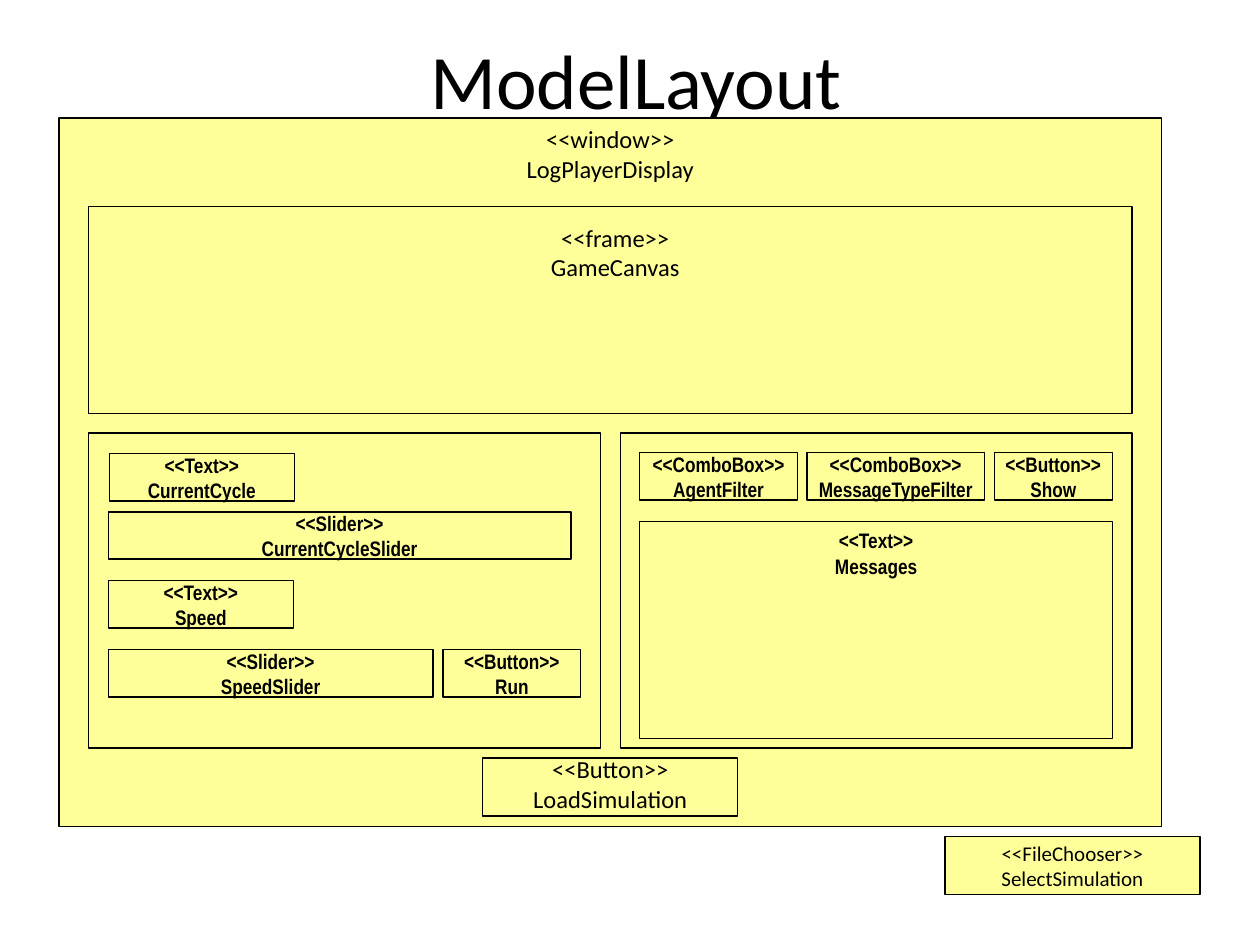
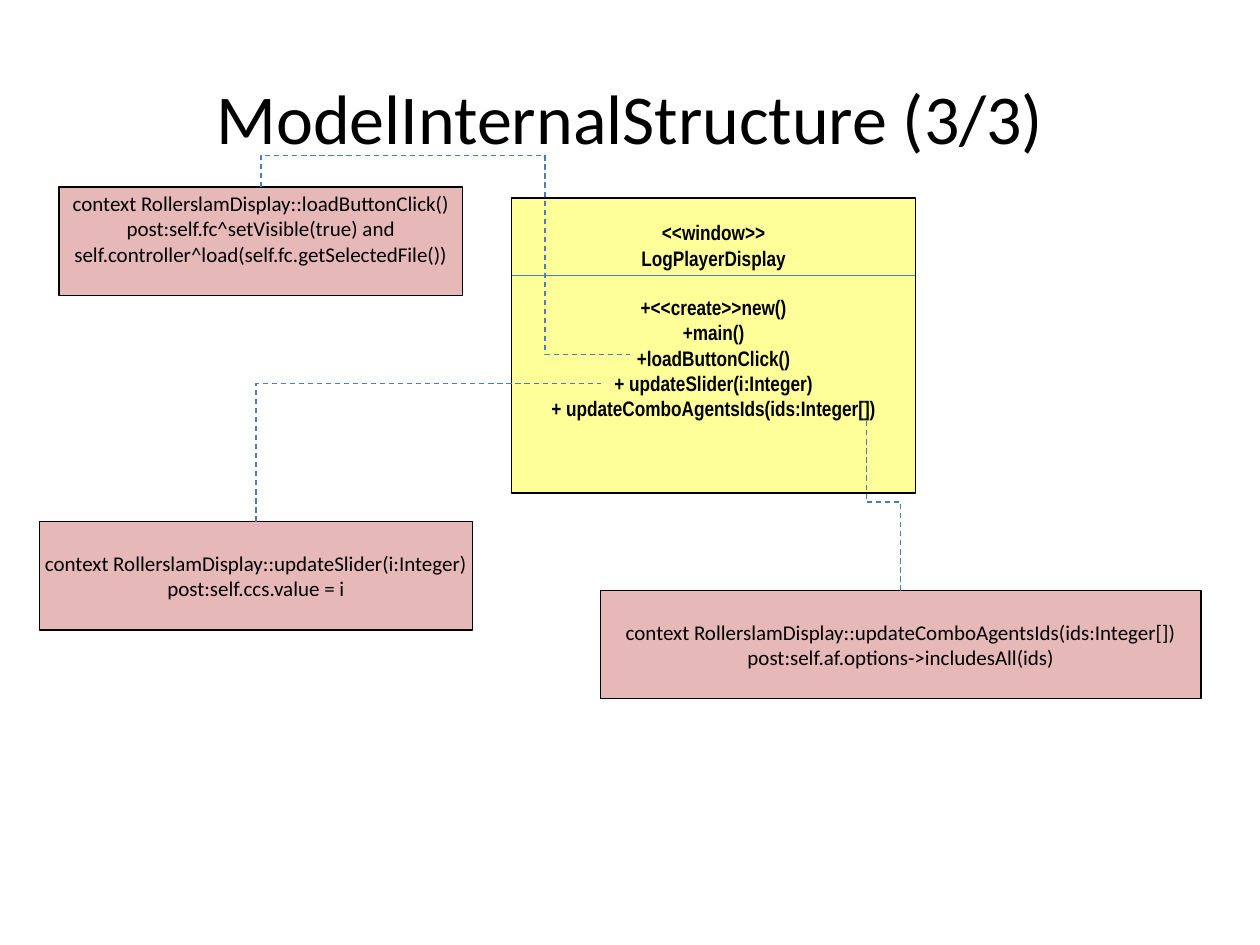
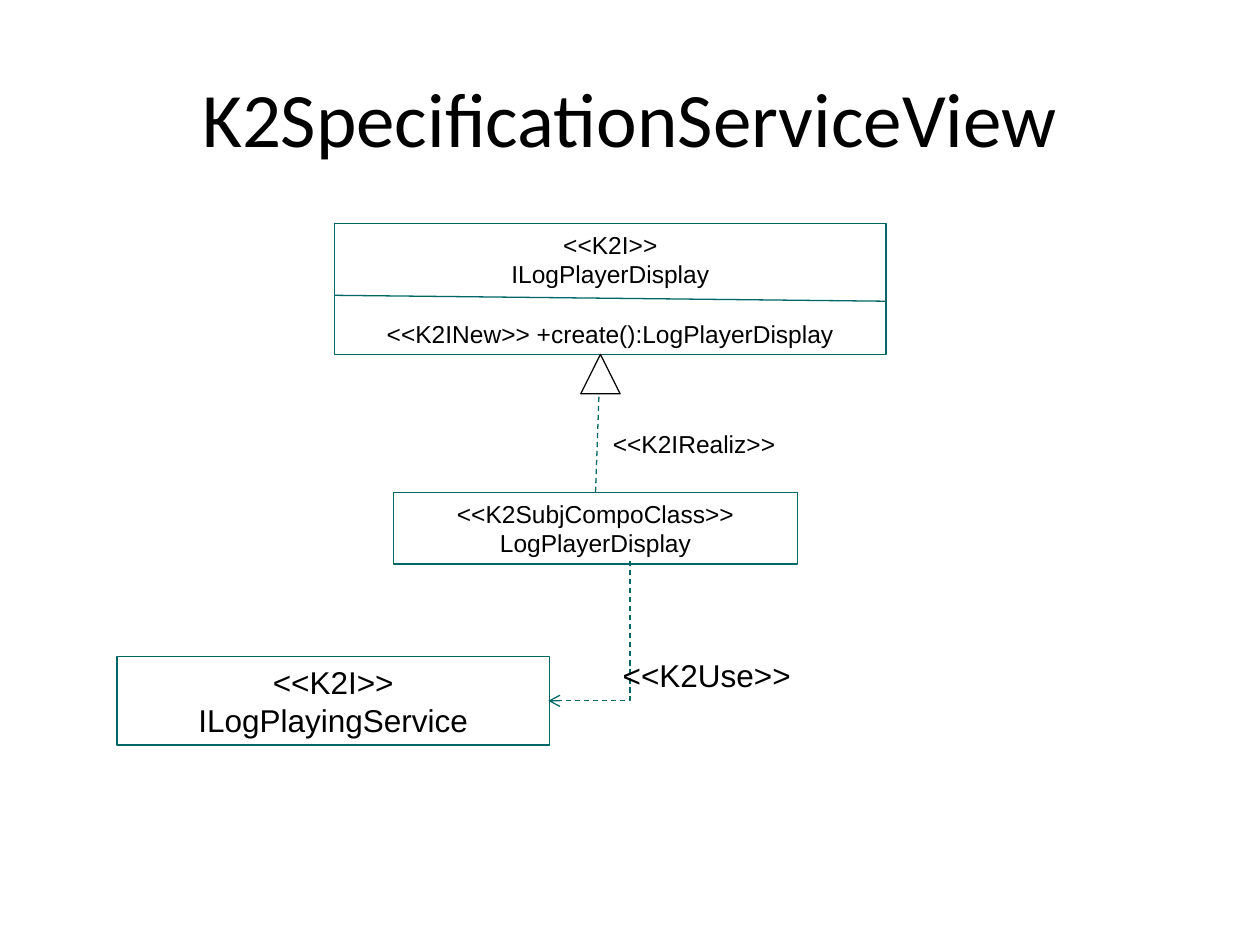
import pptx
import pptx.dml.color
import pptx.enum.dml
import pptx.enum.shapes
import pptx.enum.text
import pptx.oxml
import pptx.oxml.ns
import pptx.util

RECTANGLE = pptx.enum.shapes.MSO_SHAPE.RECTANGLE
TRIANGLE = pptx.enum.shapes.MSO_SHAPE.ISOSCELES_TRIANGLE
STRAIGHT = pptx.enum.shapes.MSO_CONNECTOR.STRAIGHT
ELBOW = pptx.enum.shapes.MSO_CONNECTOR.ELBOW
TOP, MIDDLE = pptx.enum.text.MSO_ANCHOR.TOP, pptx.enum.text.MSO_ANCHOR.MIDDLE
LEFT, CENTER = pptx.enum.text.PP_ALIGN.LEFT, pptx.enum.text.PP_ALIGN.CENTER

# Shared look: every slide is a grid of 128 columns and 96 rows
SLIDE_WIDTH, SLIDE_HEIGHT = 10, 7.5
CELL = SLIDE_WIDTH / 128
BLACK, WHITE, YELLOW, PINK = "000000", "FFFFFF", "FFFF99", "E6B9B8"
BLUE, TEAL = "4A7EBB", "006666"
LINE_WIDTH = 0.75

PANEL = dict(fill=YELLOW, line=BLACK)
WIDGET = dict(PANEL, font="Arial Narrow", size=12, bold=True)
NOTE = dict(fill=PINK, line=BLACK, font="Calibri", size=12)
CAPTION = dict(font="Calibri", size=14, anchor=TOP)
INTERFACE = dict(line=TEAL, font="Arial", size=14, wrap=True)

# Slide 1: (left, top, width, height) in cells, lines of text
PANELS = [
    (6, 12, 112, 72),     # window
    (9, 21, 106, 21),     # frame
    (9, 44, 52, 32),      # playback controls
    (63, 44, 52, 32),     # message controls
    (49, 77, 25.9, 5.9),  # load button
]
CAPTIONS = [
    ((46, 12, 32, 7.3), ["<<window>>", "LogPlayerDisplay"]),
    ((48, 22, 29, 7.3), ["<<frame>>", "GameCanvas"]),
    ((51, 76, 22, 7.3), ["<<Button>>", "LoadSimulation"]),
]
WIDGET_HEIGHT = 4.8
WIDGETS = [  # left, top, width, kind, name
    (11.1, 46.1, 18.8, "<<Text>>", "CurrentCycle"),
    (11, 52, 47, "<<Slider>>", "CurrentCycleSlider"),
    (11, 59, 18.8, "<<Text>>", "Speed"),
    (11, 66, 33, "<<Slider>>", "SpeedSlider"),
    (45, 66, 14, "<<Button>>", "Run"),
    (65, 46, 16, "<<ComboBox>>", "AgentFilter"),
    (82, 46, 18, "<<ComboBox>>", "MessageTypeFilter"),
    (101, 46, 12, "<<Button>>", "Show"),
]
MESSAGES = ((65, 53, 48, 22), ["<<Text>>", "Messages"])
FILE_CHOOSER = ((96, 85, 25.9, 5.9), ["<<FileChooser>>", "SelectSimulation"])

# Slide 2: class, contracts and the links between them
DISPLAY_CLASS = ((52, 20.1, 41, 30), [
    "<<window>>", "LogPlayerDisplay", "+<<create>>new()", "+main()",
    "+loadButtonClick()", "+ updateSlider(i:Integer)",
    "+ updateComboAgentsIds(ids:Integer[])"])
CONTRACTS = [  # area, lines, bottom inset in inches
    ((6, 19, 41, 11), ["context RollerslamDisplay::loadButtonClick()",
                       "post:self.fc^setVisible(true) and",
                       "self.controller^load(self.fc.getSelectedFile())"], 0.25),
    ((4, 53, 44, 11), ["context RollerslamDisplay::updateSlider(i:Integer)",
                       "post:self.ccs.value = i"], 0.05),
    ((61, 60, 61, 11), ["context RollerslamDisplay::updateComboAgentsIds(ids:Integer[])",
                        "post:self.af.options->includesAll(ids)"], 0.05),
]
CONTRACT_LINKS = [  # start, end, preset, bend positions as shares
    ((26.5, 19), (64, 36), "bentConnector4", [-0.19, 0.77]),
    ((26, 53), (61, 39), "bentConnector2", []),
    ((91.5, 60), (88, 42), "bentConnector3", [0.5]),
]

# Slide 3: interfaces and component class
DISPLAY_INTERFACE = ((34, 22.7, 56, 13.3), [
    "<<K2I>>", "ILogPlayerDisplay", "<<K2INew>> +create():LogPlayerDisplay"])
COMPONENT = ((40, 50, 41, 7.3), ["<<K2SubjCompoClass>>", "LogPlayerDisplay"])
SERVICE = ((11.9, 66.7, 43.9, 9), ["<<K2I>>", "ILogPlayingService"])
REALIZES_LABEL = ((61, 43, 19.1, 4.3), ["<<K2IRealiz>>"])
USES_LABEL = ((62, 66, 22, 5.1), ["<<K2Use>>"])


def color(value):
    return pptx.dml.color.RGBColor.from_string(value)


def cells(*values):
    return [pptx.util.Inches(value * CELL) for value in values]


def add_slide(presentation, title, size=44, left=0.5, top=0.3):
    slide = presentation.slides.add_slide(presentation.slide_layouts[5])
    shape = slide.shapes.title
    shape.left, shape.top, shape.width, shape.height = (
        pptx.util.Inches(value) for value in (left, top, 9, 1.25))
    write(shape.text_frame, [title], "Calibri", size)
    shape.text_frame.vertical_anchor = MIDDLE
    return slide


def write(frame, lines, font, size, bold=False, align=CENTER, gaps=None):
    """Write one paragraph a line; gaps maps a line number to points before it."""
    for index, line in enumerate(lines):
        paragraph = frame.paragraphs[0] if index == 0 else frame.add_paragraph()
        paragraph.alignment = align
        if gaps and index in gaps:
            paragraph.space_before = pptx.util.Pt(gaps[index])
        run = paragraph.add_run()
        run.text = line
        run.font.name, run.font.size, run.font.bold = font, pptx.util.Pt(size), bold
        run.font.color.rgb = color(BLACK)


def add_box(slide, area, lines=(), fill=None, line=None, font="Calibri", size=12,
            bold=False, anchor=MIDDLE, align=CENTER, wrap=False, gaps=None,
            bottom=0.05, preset=RECTANGLE):
    if fill or line:
        shape = slide.shapes.add_shape(preset, *cells(*area))
        shape.shadow.inherit = False
        shape.line.color.rgb = color(line)
        shape.line.width = pptx.util.Pt(LINE_WIDTH)
    else:
        shape = slide.shapes.add_textbox(*cells(*area))
    if fill:
        shape.fill.solid()
        shape.fill.fore_color.rgb = color(fill)
    else:
        shape.fill.background()
    frame = shape.text_frame
    frame.word_wrap, frame.vertical_anchor = wrap, anchor
    frame.margin_bottom = pptx.util.Inches(bottom)
    write(frame, lines, font, size, bold, align, gaps)
    return shape


def add_line(slide, start, end, line_color, dashed=False, arrow=None, kind=STRAIGHT):
    connector = slide.shapes.add_connector(kind, *cells(*start, *end))
    connector.line.color.rgb = color(line_color)
    connector.line.width = pptx.util.Pt(LINE_WIDTH)
    if dashed:
        connector.line.dash_style = pptx.enum.dml.MSO_LINE.DASH
    properties = connector._element.spPr
    if arrow:
        tail = pptx.oxml.ns.qn("a:tailEnd")
        connector.line._get_or_add_ln().makeelement(tail)
        properties.find(pptx.oxml.ns.qn("a:ln")).append(
            properties.makeelement(tail, {"type": arrow}))
    properties.append(properties.makeelement(pptx.oxml.ns.qn("a:effectLst")))
    return connector


def add_elbow(slide, start, end, line_color, preset, bends=(), arrow=None):
    """Elbow that leaves its start vertically: a preset turned by 90 degrees."""
    connector = add_line(slide, start, end, line_color, True, arrow, ELBOW)
    across, down = end[0] - start[0], end[1] - start[1]
    width, height = abs(down), abs(across)
    connector.left, connector.top, connector.width, connector.height = cells(
        (start[0] + end[0] - width) / 2, (start[1] + end[1] - height) / 2, width, height)
    properties = connector._element.spPr
    frame = properties.find(pptx.oxml.ns.qn("a:xfrm"))
    frame.set("rot", str(90 * 60000))
    frame.set("flipH", str(int(down < 0)))
    frame.set("flipV", str(int(across > 0)))
    geometry = properties.find(pptx.oxml.ns.qn("a:prstGeom"))
    geometry.set("prst", preset)
    guides = geometry.find(pptx.oxml.ns.qn("a:avLst"))
    for number, share in enumerate(bends, 1):
        guides.append(guides.makeelement(pptx.oxml.ns.qn("a:gd"), {
            "name": f"adj{number}", "fmla": f"val {round(share * 100000)}"}))


def build_layout(presentation):
    slide = add_slide(presentation, "ModelLayout", left=0.55, top=0)
    for area in PANELS:
        add_box(slide, area, **PANEL)
    for area, lines in CAPTIONS:
        add_box(slide, area, lines, wrap=True, **CAPTION)
    for left, top, width, kind, name in WIDGETS:
        add_box(slide, (left, top, width, WIDGET_HEIGHT), [kind, name], **WIDGET)
    add_box(slide, *MESSAGES, anchor=TOP, **WIDGET)
    add_box(slide, *FILE_CHOOSER, **PANEL)


def build_structure(presentation):
    slide = add_slide(presentation, "ModelInternalStructure (3/3)", size=40)
    add_box(slide, *DISPLAY_CLASS, gaps={2: 14}, bottom=0.45, **WIDGET)
    add_line(slide, (52, 28), (93, 28), BLUE)
    for area, lines, bottom in CONTRACTS:
        add_box(slide, area, lines, bottom=bottom, **NOTE)
    for start, end, preset, bends in CONTRACT_LINKS:
        add_elbow(slide, start, end, BLUE, preset, bends)


def build_services(presentation):
    slide = add_slide(presentation, "K2SpecificationServiceView")
    component = add_box(slide, *COMPONENT, **INTERFACE)
    add_box(slide, *DISPLAY_INTERFACE, gaps={2: 17}, **INTERFACE)
    add_line(slide, (34, 30), (90, 30.6), TEAL)
    # Realization: dashed line under a hollow triangle
    realization = add_line(slide, (60.5, 50), (61, 36), TEAL, True, "triangle")
    realization.begin_connect(component, 0)
    add_box(slide, (59, 36, 4, 4), fill=WHITE, line=BLACK, preset=TRIANGLE)
    add_box(slide, *REALIZES_LABEL, font="Arial", size=14, anchor=TOP, align=LEFT)
    # Use of the playing service
    add_elbow(slide, (64, 57), (55.7, 71.2), TEAL, "bentConnector2", arrow="arrow")
    add_box(slide, *USES_LABEL, font="Arial", size=18, anchor=TOP, align=LEFT, wrap=True)
    add_box(slide, *SERVICE, **dict(INTERFACE, size=18))


def main():
    presentation = pptx.Presentation()
    presentation.slide_width = pptx.util.Inches(SLIDE_WIDTH)
    presentation.slide_height = pptx.util.Inches(SLIDE_HEIGHT)
    build_layout(presentation)
    build_structure(presentation)
    build_services(presentation)
    presentation.save("out.pptx")


if __name__ == "__main__":
    main()
